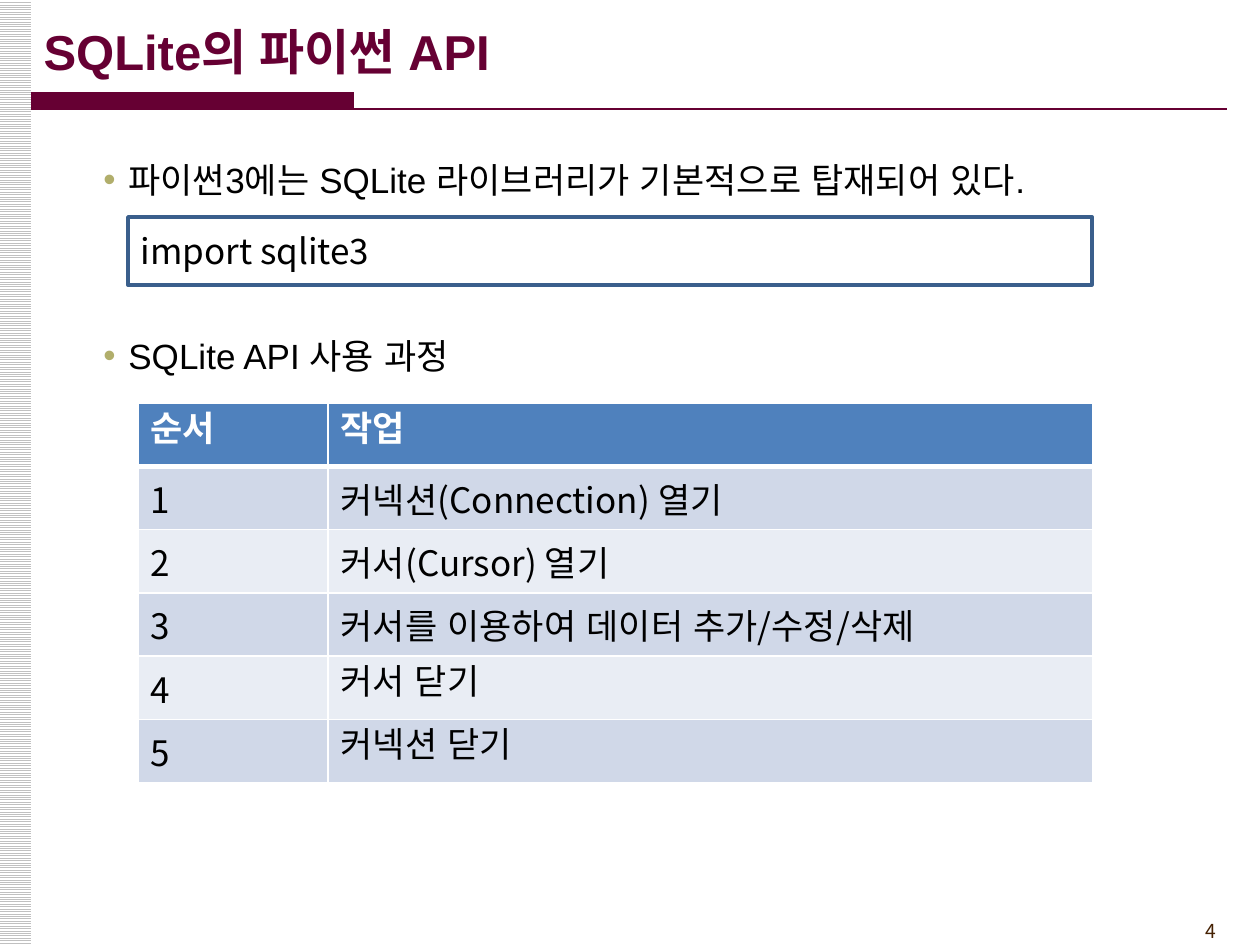
import dataclasses

import pptx
import pptx.dml.color
import pptx.enum.dml
import pptx.enum.shapes
import pptx.enum.text
import pptx.oxml
import pptx.oxml.ns
import pptx.util

PIXELS_PER_INCH = 126
RECTANGLE = pptx.enum.shapes.MSO_SHAPE.RECTANGLE
MIDDLE = pptx.enum.text.MSO_ANCHOR.MIDDLE
LEFT = pptx.enum.text.PP_ALIGN.LEFT
RIGHT = pptx.enum.text.PP_ALIGN.RIGHT


@dataclasses.dataclass(frozen=True)
class Theme:
    latin: str = "Arial"
    korean: str = "Noto Sans CJK KR"
    title_size: int = 28
    body_size: int = 20
    number_size: int = 11
    accent: str = "660033"
    text: str = "000000"
    white: str = "FFFFFF"
    stripe: str = "C0C0C0"
    number: str = "452103"
    bullet: str = "B1AE6B"
    code_line: str = "3A5F8C"
    header: str = "4F81BD"
    bands: tuple = ("D0D8E8", "E9EDF4")


THEME = Theme()


def px(length):
    return pptx.util.Emu(round(length * 914400 / PIXELS_PER_INCH))


def place(box):
    return [px(length) for length in box]


def rgb(color):
    return pptx.dml.color.RGBColor.from_string(color)


def xml(tag, content="", attributes=""):
    namespace = pptx.oxml.ns.nsdecls("a")
    return pptx.oxml.parse_xml(f"<a:{tag} {namespace} {attributes}>{content}</a:{tag}>")


def format_text(paragraph, size, color, font=THEME.korean, bold=False, align=LEFT):
    paragraph.alignment = align
    for run in paragraph.runs:
        run.font.size = pptx.util.Pt(size)
        run.font.bold = bold
        run.font.name = font
        run.font.color.rgb = rgb(color)
        run.font._element.append(xml("ea", attributes=f'typeface="{THEME.latin}"'))


def add_rectangle(slide, box):
    shape = slide.shapes.add_shape(RECTANGLE, *place(box))
    shape.shadow.inherit = False
    shape.line.fill.background()
    return shape


def add_side_stripe(slide, box):
    fill = add_rectangle(slide, box).fill
    fill.patterned()
    fill.pattern = pptx.enum.dml.MSO_PATTERN.LIGHT_HORIZONTAL
    fill.fore_color.rgb = rgb(THEME.stripe)
    fill.back_color.rgb = rgb(THEME.white)


def add_title_rule(slide, box):
    left, top, width, height = box
    bar = add_rectangle(slide, (left, top, 323, height))
    bar.fill.solid()
    bar.fill.fore_color.rgb = rgb(THEME.accent)
    bottom = top + height
    rule = slide.shapes.add_connector(
        pptx.enum.shapes.MSO_CONNECTOR.STRAIGHT,
        *place((left, bottom, left + width, bottom)))
    rule.line.color.rgb = rgb(THEME.accent)
    rule.line.width = pptx.util.Pt(1.5)
    rule._element.spPr.append(xml("effectLst"))


def add_title(slide, box, text):
    title = slide.shapes.title
    title.left, title.top, title.width, title.height = place(box)
    frame = title.text_frame
    frame.text = text
    frame.auto_size = pptx.enum.text.MSO_AUTO_SIZE.NONE
    frame.vertical_anchor = MIDDLE
    format_text(frame.paragraphs[0], THEME.title_size, THEME.accent, THEME.latin, True)


def add_bullets(slide, box, texts, gap):
    frame = slide.shapes.add_textbox(*place(box)).text_frame
    frame.word_wrap = True
    frame.text = "\n".join(texts)
    for index, paragraph in enumerate(frame.paragraphs):
        format_text(paragraph, THEME.body_size, THEME.text, THEME.latin)
        paragraph.line_spacing = 1.1
        paragraph.space_before = pptx.util.Pt(gap if index else 0)
        paragraph.space_after = pptx.util.Pt(3)
        properties = paragraph._p.get_or_add_pPr()
        properties.set("marL", str(px(74)))
        properties.set("indent", str(px(-25)))
        properties.append(xml("buClr", f'<a:srgbClr val="{THEME.bullet}"/>'))
        properties.append(xml("buFont", attributes=f'typeface="{THEME.latin}"'))
        properties.append(xml("buChar", attributes='char="•"'))


def add_code(slide, box, text):
    shape = add_rectangle(slide, box)
    shape.fill.background()
    shape.line.color.rgb = rgb(THEME.code_line)
    shape.line.width = pptx.util.Pt(2)
    frame = shape.text_frame
    frame.word_wrap = True
    frame.vertical_anchor = MIDDLE
    frame.text = text
    format_text(frame.paragraphs[0], THEME.body_size, THEME.text)


def set_borders(cell, top, bottom):
    properties = cell._tc.get_or_add_tcPr()
    color = f'<a:solidFill><a:srgbClr val="{THEME.white}"/></a:solidFill>'
    for side, points in (("lnL", 1), ("lnR", 1), ("lnT", top), ("lnB", bottom)):
        properties.append(xml(side, color, f'w="{pptx.util.Pt(points)}"'))


def add_steps(slide, box, heading, steps):
    rows = [heading, *((str(number), step) for number, step in enumerate(steps, 1))]
    left, top, width, height = box
    table = slide.shapes.add_table(len(rows), 2, *place(box)).table
    table.horz_banding = False
    number_width = 190
    table.columns[0].width = px(number_width)
    table.columns[1].width = px(width - number_width)
    for row_index, texts in enumerate(rows):
        is_header = row_index == 0
        table.rows[row_index].height = px(height / len(rows))
        fill = THEME.header if is_header else THEME.bands[(row_index - 1) % 2]
        color = THEME.white if is_header else THEME.text
        for column_index, text in enumerate(texts):
            cell = table.cell(row_index, column_index)
            set_borders(cell, 3 if row_index == 1 else 1, 3 if is_header else 1)
            cell.fill.solid()
            cell.fill.fore_color.rgb = rgb(fill)
            cell.text_frame.text = text
            format_text(cell.text_frame.paragraphs[0], THEME.body_size, color, bold=is_header)


def add_page_number(slide, box, number):
    frame = slide.shapes.add_textbox(*place(box)).text_frame
    frame.word_wrap = True
    frame.text = str(number)
    format_text(frame.paragraphs[0], THEME.number_size, THEME.number, align=RIGHT)


def main():
    presentation = pptx.Presentation()
    presentation.slide_width = px(1260)
    presentation.slide_height = px(945)
    slide = presentation.slides.add_slide(presentation.slide_layouts[5])
    add_side_stripe(slide, (-1, 0, 32, 945))
    add_page_number(slide, (1124, 913, 105, 36), 4)
    add_title_rule(slide, (31, 92, 1196, 17))
    add_bullets(slide, (42, 148, 1197, 748), (
        "파이썬3에는 SQLite 라이브러리가 기본적으로 탑재되어 있다.",
        "SQLite API 사용 과정",
    ), gap=71)
    add_title(slide, (31, 11, 1229, 79), "SQLite의 파이썬 API")
    add_code(slide, (128, 217, 964, 68), "import sqlite3")
    add_steps(slide, (138, 403, 955, 380), ("순서", "작업"), (
        "커넥션(Connection) 열기",
        "커서(Cursor) 열기",
        "커서를 이용하여 데이터 추가/수정/삭제",
        "커서 닫기",
        "커넥션 닫기",
    ))
    presentation.save("out.pptx")


if __name__ == "__main__":
    main()
